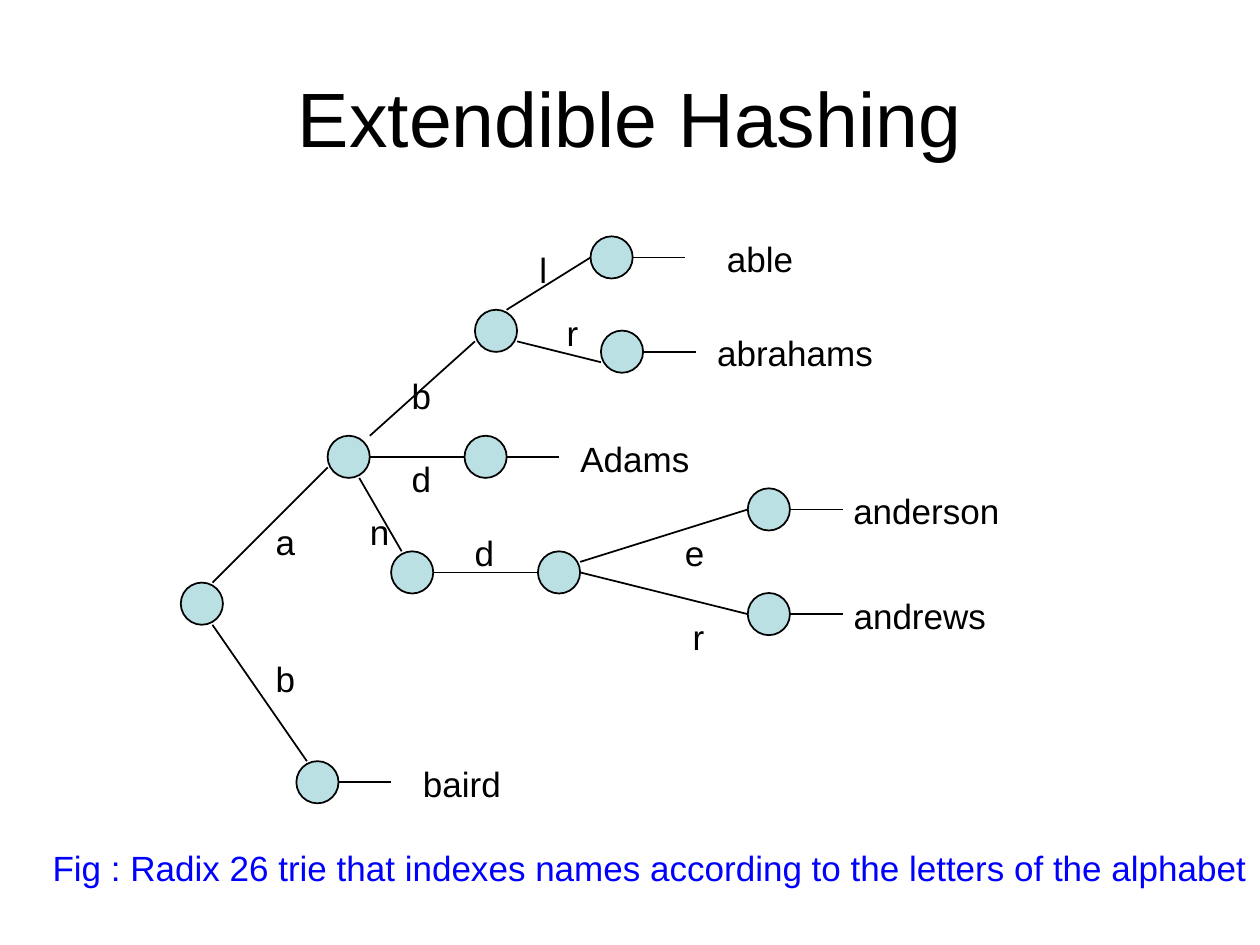
from pptx import Presentation
from pptx.dml.color import RGBColor
from pptx.enum.shapes import MSO_CONNECTOR, MSO_SHAPE
from pptx.enum.text import MSO_ANCHOR, MSO_AUTO_SIZE, PP_ALIGN
from pptx.oxml.ns import qn
from pptx.util import Cm, Pt

BLACK = RGBColor(0x00, 0x00, 0x00)
BLUE = RGBColor(0x00, 0x00, 0xFF)
PALE_TEAL = RGBColor(0xBB, 0xE0, 0xE3)

TITLE = "Extendible Hashing"
CAPTION = ("Fig : Radix 26 trie that indexes names according to "
           "the letters of the alphabet")

# Trie nodes by prefix: centre x, y in cm
NODES = {
    "": (4.07, 12.17), "a": (7.03, 9.21), "b": (6.4, 15.77),
    "ab": (10, 6.67), "ad": (9.79, 9.21), "an": (8.31, 11.54),
    "abl": (12.33, 5.19), "abr": (12.54, 7.09), "and": (11.27, 11.54),
    "ande": (15.5, 10.27), "andr": (15.5, 12.38),
}

# Branch to each node: offsets from the parent and child centres in half
# radii, then the right edge and top of its letter in cm
BRANCHES = {
    "a": ((1, -2), (-2, 1), (6.2, 10.36)),
    "b": ((1, 2), (-1, -2), (6.2, 13.13)),
    "ab": ((2, -2), (-2, 1), (8.94, 7.42)),
    "ad": ((2, 0), (-2, 0), (8.94, 9.09)),
    "an": ((1, 2), (-1, -2), (8.1, 10.16)),
    "abl": ((1, -2), (-2, 0), (11.28, 4.88)),
    "abr": ((2, 1), (-2, 1), (11.91, 6.15)),
    "and": ((2, 0), (-2, 0), (10.21, 10.59)),
    "ande": ((2, -1), (-2, 0), (14.45, 10.59)),
    "andr": ((2, 0), (-2, 0), (14.45, 12.27)),
}

# Names at the leaves: word, left edge and width in cm
LEAVES = {
    "abl": ("able", 14.37, 1.87),
    "abr": ("abrahams", 14.15, 3.7),
    "ad": ("Adams", 11.4, 2.75),
    "ande": ("anderson", 16.92, 3.48),
    "andr": ("andrews", 16.92, 3.21),
    "b": ("baird", 8.24, 2.11),
}

DIAMETER = 0.85
STUB = 1.06
LABEL_HEIGHT = 1.11
LETTER_WIDTHS = {"l": 0.66, "r": 0.74}
LETTER_WIDTH = 0.89

presentation = Presentation()
presentation.slide_width, presentation.slide_height = Cm(25.4), Cm(19.05)
slide = presentation.slides.add_slide(presentation.slide_layouts[6])


def add_text(text, left, top, width, height=LABEL_HEIGHT, size=20,
             color=BLACK, align=PP_ALIGN.RIGHT, wrap=False):
    box = slide.shapes.add_textbox(Cm(left), Cm(top), Cm(width), Cm(height))
    frame = box.text_frame
    frame.word_wrap = wrap
    if not wrap:
        frame.auto_size = MSO_AUTO_SIZE.SHAPE_TO_FIT_TEXT
    frame.vertical_anchor = MSO_ANCHOR.MIDDLE
    paragraph = frame.paragraphs[0]
    paragraph.text = text
    paragraph.alignment = align
    paragraph.font.name = "Arial"
    paragraph.font.size = Pt(size)
    paragraph.font.color.rgb = color


def add_line(start, end):
    line = slide.shapes.add_connector(
        MSO_CONNECTOR.STRAIGHT, *(Cm(value) for value in (*start, *end)))
    line.line.color.rgb = BLACK
    line.line.width = Pt(1)
    properties = line._element.spPr
    properties.append(properties.makeelement(qn("a:effectLst"), {}))


def node_point(prefix, offset):
    return [centre + step * DIAMETER / 4
            for centre, step in zip(NODES[prefix], offset)]


# Title
add_text(TITLE, 1.27, 0.76, 22.86, 3.18, size=44,
         align=PP_ALIGN.CENTER, wrap=True)

# Nodes
for x, y in NODES.values():
    node = slide.shapes.add_shape(
        MSO_SHAPE.OVAL, Cm(x - DIAMETER / 2), Cm(y - DIAMETER / 2),
        Cm(DIAMETER), Cm(DIAMETER))
    node.shadow.inherit = False
    node.fill.solid()
    node.fill.fore_color.rgb = PALE_TEAL
    node.line.color.rgb = BLACK
    node.line.width = Pt(1)

# Branches with their letters
for prefix, (leave, arrive, (right, top)) in BRANCHES.items():
    parent, letter = prefix[:-1], prefix[-1]
    add_line(node_point(parent, leave), node_point(prefix, arrive))
    width = LETTER_WIDTHS.get(letter, LETTER_WIDTH)
    add_text(letter, right - width, top, width)

# Leaf stubs with their names
for prefix, (word, left, width) in LEAVES.items():
    x, y = node_point(prefix, (2, 0))
    add_line((x, y), (x + STUB, y))
    add_text(word, left, y - 0.53, width)

# Caption
add_text(CAPTION, 0, 16.94, 25.4, color=BLUE, wrap=True)

presentation.save("out.pptx")
